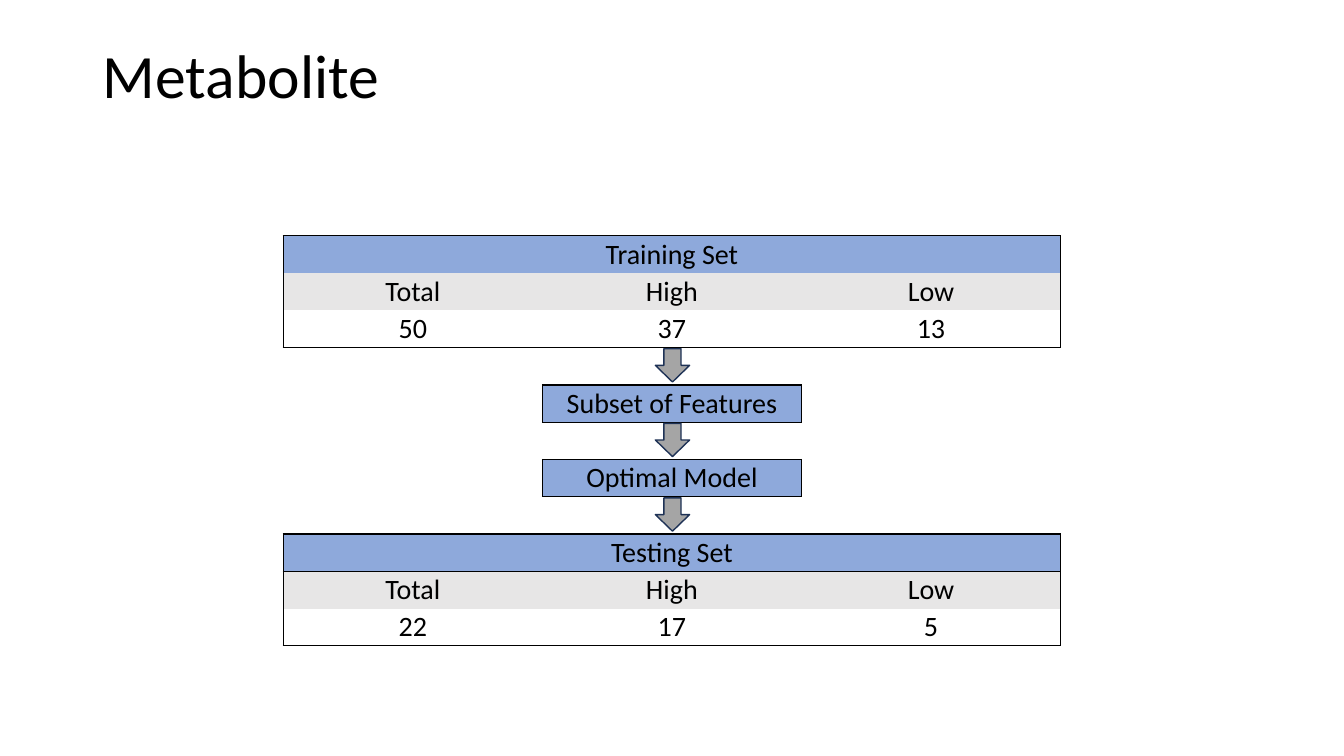
from lxml.etree import SubElement
from pptx import Presentation
from pptx.dml.color import RGBColor
from pptx.enum.shapes import MSO_SHAPE
from pptx.enum.text import MSO_ANCHOR, PP_ALIGN
from pptx.oxml.ns import qn
from pptx.util import Inches, Pt

BLACK, BLUE, LIGHT_GRAY = "000000", "8EA9DB", "E7E6E6"
NO_STYLE_NO_GRID = "{2D5ABB26-0587-4C30-8999-92F81FD0307C}"
TABLE_LEFT, TABLE_TOP, COLUMN_WIDTH, ROW_HEIGHT = 2.81, 2.34, 2.57, 0.37
ROW_COUNT, COLUMN_COUNT = 11, 3


def color(hex_value):
    return RGBColor.from_string(hex_value)


def write(text_frame, text, size=20, align=PP_ALIGN.CENTER, line_spacing=1.0):
    paragraph = text_frame.paragraphs[0]
    paragraph.text = text
    paragraph.alignment = align
    paragraph.line_spacing = line_spacing
    # The paragraph font also sets the height of empty cells.
    for font in [paragraph.font] + [run.font for run in paragraph.runs]:
        font.name = "Calibri"
        font.size = Pt(size)
        font.color.rgb = color(BLACK)


presentation = Presentation()
presentation.slide_width = Inches(13.33)
presentation.slide_height = Inches(7.5)
slide = presentation.slides.add_slide(presentation.slide_layouts[5])

title = slide.shapes.title
title.left, title.top = Inches(0.92), Inches(0.4)
title.width, title.height = Inches(11.5), Inches(1.45)
title.text_frame.vertical_anchor = MSO_ANCHOR.TOP
write(title.text_frame, "Metabolite", size=44, align=PP_ALIGN.LEFT, line_spacing=0.9)

# Each entry: row, column, text, fill
contents = [(4, 1, "Subset of Features", BLUE), (6, 1, "Optimal Model", BLUE)]
for first_row, heading, counts in [
    (0, "Training Set", ("50", "37", "13")),
    (8, "Testing Set", ("22", "17", "5")),
]:
    contents.append((first_row, 0, heading, BLUE))
    for column, (label, count) in enumerate(zip(("Total", "High", "Low"), counts)):
        contents.append((first_row + 1, column, label, LIGHT_GRAY))
        contents.append((first_row + 2, column, count, None))
cell_contents = {(row, column): (text, fill) for row, column, text, fill in contents}

# Outlined blocks: first row, last row, first column, last column
blocks = [(0, 2, 0, 2), (4, 4, 1, 1), (6, 6, 1, 1), (8, 10, 0, 2)]
heading_rows = (0, 8)

table = slide.shapes.add_table(
    ROW_COUNT, COLUMN_COUNT, Inches(TABLE_LEFT), Inches(TABLE_TOP),
    Inches(COLUMN_WIDTH * COLUMN_COUNT), Inches(ROW_HEIGHT * ROW_COUNT),
).table
table.first_row = False
table.horz_banding = False
table._tbl.tblPr.find(qn("a:tableStyleId")).text = NO_STYLE_NO_GRID
for table_column in table.columns:
    table_column.width = Inches(COLUMN_WIDTH)
for table_row in table.rows:
    table_row.height = Inches(ROW_HEIGHT)
for row in heading_rows:
    table.cell(row, 0).merge(table.cell(row, COLUMN_COUNT - 1))

for row in range(ROW_COUNT):
    for column in range(COLUMN_COUNT):
        cell = table.cell(row, column)
        cell.margin_left = cell.margin_right = 0
        cell.margin_top = cell.margin_bottom = 0
        cell.vertical_anchor = MSO_ANCHOR.MIDDLE
        merged = row in heading_rows
        for top, bottom, left, right in blocks:
            if not (top <= row <= bottom and left <= column <= right):
                continue
            edges = {
                "a:lnL": merged or column == left,
                "a:lnR": merged or column == right,
                "a:lnT": row == top,
                "a:lnB": row == bottom,
            }
            for tag, drawn in edges.items():
                if drawn:
                    border = SubElement(cell._tc.get_or_add_tcPr(), qn(tag), w=str(Pt(1)))
                    border_fill = SubElement(border, qn("a:solidFill"))
                    SubElement(border_fill, qn("a:srgbClr"), val=BLACK)
        text, fill = cell_contents.get((row, column), ("", None))
        write(cell.text_frame, text)
        if fill:
            cell.fill.solid()
            cell.fill.fore_color.rgb = color(fill)
        else:
            cell.fill.background()

for step in range(3):
    arrow = slide.shapes.add_shape(
        MSO_SHAPE.DOWN_ARROW, Inches(6.5), Inches(3.46 + 2 * ROW_HEIGHT * step),
        Inches(0.34), Inches(0.33),
    )
    arrow.shadow.inherit = False
    arrow.fill.solid()
    arrow.fill.fore_color.rgb = color("A5A5A5")
    arrow.line.color.rgb = color("1E3256")
    arrow.line.width = Pt(1)

presentation.save("out.pptx")
